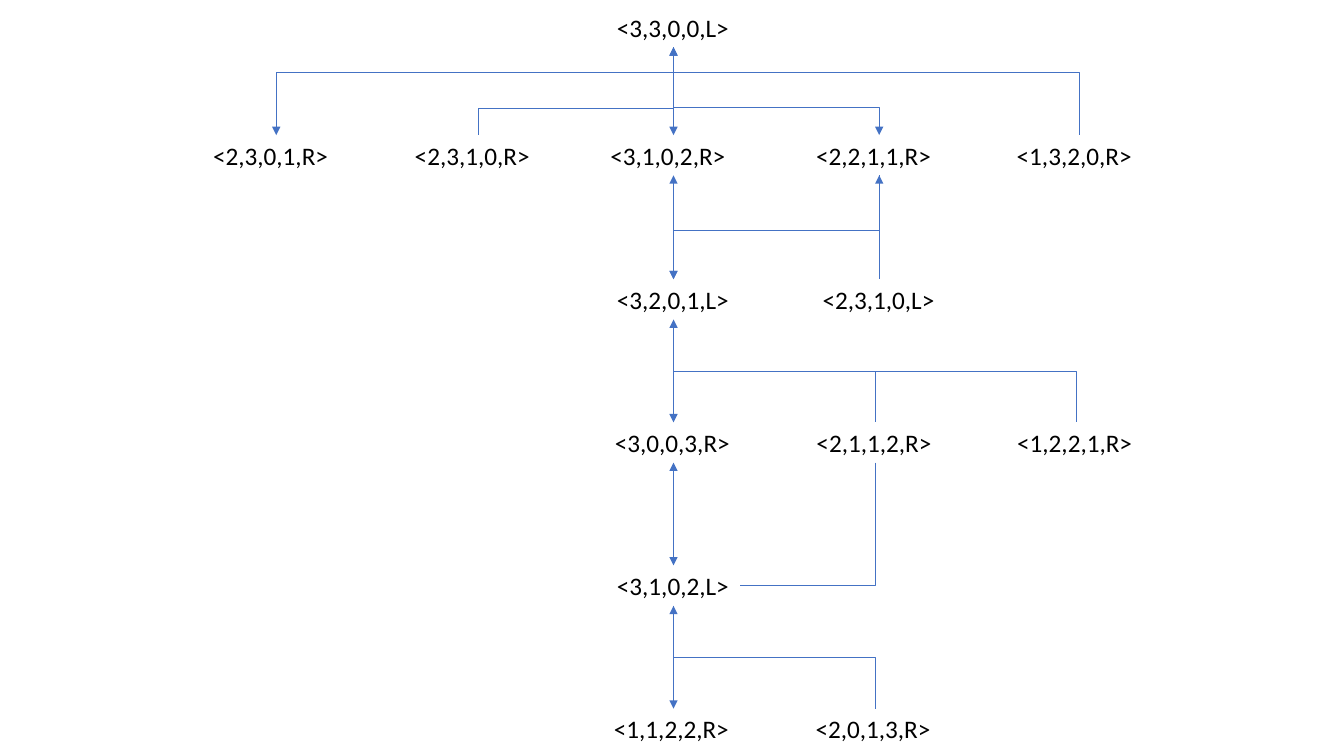
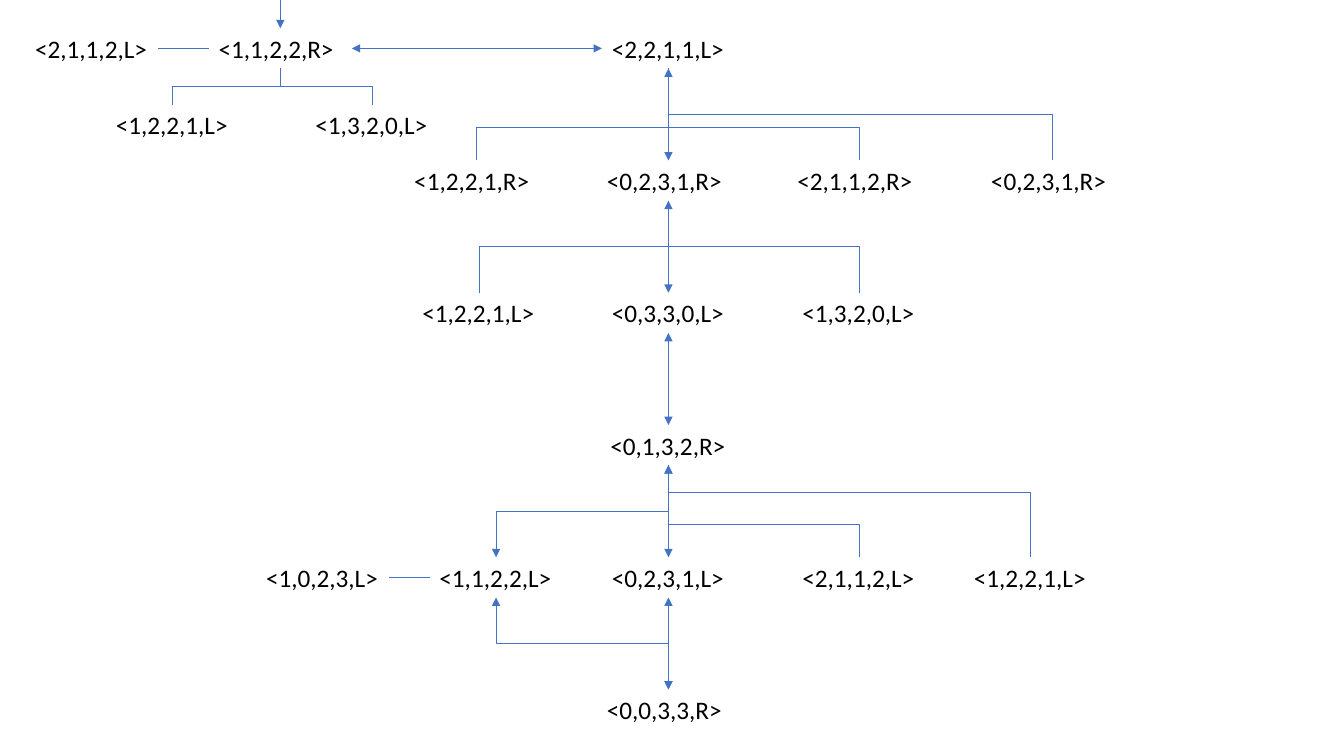
from dataclasses import dataclass
from lxml.etree import SubElement
from pptx import Presentation
from pptx.dml.color import RGBColor
from pptx.enum.shapes import MSO_CONNECTOR
from pptx.enum.text import PP_ALIGN
from pptx.oxml.ns import qn
from pptx.util import Inches, Pt

STRAIGHT, ELBOW = MSO_CONNECTOR.STRAIGHT, MSO_CONNECTOR.ELBOW
LEFT = PP_ALIGN.LEFT
COLORS = {"text": "000000", "line": "4472C4"}
FONT, SIZE = "Calibri", 18
HIGH = 0.4
BOTH, END, NONE = ("headEnd", "tailEnd"), ("tailEnd",), ()
CORNER = 1.0
TURN = 5400000


@dataclass(frozen=True)
class Node:
    cell: str
    text: str
    wide: float = 1.32


@dataclass(frozen=True)
class Link:
    start: str
    end: str
    bend: float = 0.0
    tips: tuple[str, ...] = NONE


@dataclass(frozen=True)
class Tree:
    cols: dict[str, float]
    rows: list[float]
    nodes: list[Node]
    links: list[Link]


@dataclass(frozen=True)
class Box:
    left: float
    top: float
    wide: float

    @property
    def right(self) -> float:
        return self.left + self.wide

    @property
    def mid(self) -> float:
        return self.left + self.wide / 2

    @property
    def axis(self) -> float:
        return self.top + HIGH / 2


def steps(first: float, last: float, count: int) -> list[float]:
    return [first + (last - first) * i / (count - 1) for i in range(count)]


def place(tree: Tree, node: Node) -> Box:
    mid = tree.cols[node.cell[0]]
    return Box(mid - node.wide / 2, tree.rows[int(node.cell[1])], node.wide)


def write(slide, node: Node, box: Box) -> None:
    size = [Inches(v) for v in (box.left, box.top, box.wide, HIGH)]
    frame = slide.shapes.add_textbox(*size).text_frame
    frame.word_wrap = True
    line = frame.paragraphs[0]
    line.alignment = LEFT
    run = line.add_run()
    run.text = node.text
    run.font.name, run.font.size = FONT, Pt(SIZE)
    run.font.color.rgb = RGBColor.from_string(COLORS["text"])


def ends(link: Link, boxes: dict[str, Box]) -> tuple[float, ...]:
    goal = boxes[link.end]
    if not link.start:
        return goal.mid, 0, goal.mid, goal.top
    base = boxes[link.start]
    if base.top == goal.top:
        return base.right, base.axis, goal.left, goal.axis
    if link.bend == CORNER:
        return base.mid, base.top + HIGH, goal.right, goal.axis
    return base.mid, base.top + HIGH, goal.mid, goal.top


def join(slide, link: Link, boxes: dict[str, Box]) -> None:
    x1, y1, x2, y2 = ends(link, boxes)
    kind = ELBOW if link.bend else STRAIGHT
    right = x2 > x1
    if link.bend:
        midx, midy = (x1 + x2) / 2, (y1 + y2) / 2
        halfx, halfy = (y2 - y1) / 2, abs(x2 - x1) / 2
        x1, y1, x2, y2 = midx - halfx, midy - halfy, midx + halfx, midy + halfy
    wire = slide.shapes.add_connector(kind, *map(Inches, (x1, y1, x2, y2)))
    wire.line.color.rgb = RGBColor.from_string(COLORS["line"])
    wire.line.width = Pt(0.5)
    props = wire._element.spPr
    if link.bend:
        frame = props.find(qn("a:xfrm"))
        frame.set("rot", str(TURN * (3 if right else 1)))
        if right:
            frame.set("flipH", "1")
        geom = props.find(qn("a:prstGeom"))
        if link.bend == CORNER:
            geom.set("prst", "bentConnector2")
        else:
            share = round(link.bend * 100000)
            guide = SubElement(geom.find(qn("a:avLst")), qn("a:gd"))
            guide.set("name", "adj1")
            guide.set("fmla", f"val {share}")
    for tip in link.tips:
        SubElement(props.find(qn("a:ln")), qn(f"a:{tip}")).set("type", "triangle")
    SubElement(props, qn("a:effectLst"))


def draw(deck, tree: Tree) -> None:
    slide = deck.slides.add_slide(deck.slide_layouts[6])
    boxes = {node.cell: place(tree, node) for node in tree.nodes}
    for node in tree.nodes:
        write(slide, node, boxes[node.cell])
    for link in tree.links:
        join(slide, link, boxes)


UPPER = Tree(
    cols={"a": 2.74, "b": 4.74, "c": 6.68, "d": 8.68, "e": 8.72, "f": 10.67, "g": 10.71},
    rows=[0.07, 1.34, *steps(2.77, 7.03, 4)],
    nodes=[
        Node("c0", "<3,3,0,0,L>"),
        Node("a1", "<2,3,0,1,R>", 1.45),
        Node("b1", "<2,3,1,0,R>", 1.45),
        Node("c1", "<3,1,0,2,R>", 1.45),
        Node("e1", "<2,2,1,1,R>", 1.45),
        Node("g1", "<1,3,2,0,R>", 1.45),
        Node("c2", "<3,2,0,1,L>"),
        Node("e2", "<2,3,1,0,L>"),
        Node("c3", "<3,0,0,3,R>", 1.36),
        Node("d3", "<2,1,1,2,R>", 1.36),
        Node("f3", "<1,2,2,1,R>", 1.36),
        Node("c4", "<3,1,0,2,L>"),
        Node("c5", "<1,1,2,2,R>", 1.38),
        Node("d5", "<2,0,1,3,R>", 1.38),
    ],
    links=[
        *(Link(f"c{i}", f"c{i + 1}", tips=BOTH) for i in range(5)),
        Link("c0", "e1", 0.69, BOTH),
        Link("c0", "a1", 0.29, BOTH),
        Link("e1", "c2", 0.53, BOTH),
        Link("c0", "b1", 0.7),
        Link("c0", "g1", 0.29),
        Link("e1", "e2", 0.5),
        Link("c2", "d3", 0.5),
        Link("c2", "f3", 0.5),
        Link("d3", "c4", CORNER),
        Link("c4", "d5", 0.5),
    ],
)

LOWER = Tree(
    cols={"a": 0.91, "b": 1.71, "c": 2.78, "d": 3.2, "e": 3.69, "f": 4.72,
          "g": 4.75, "h": 4.92, "m": 6.63, "p": 8.52, "q": 10.22, "r": 10.44},
    rows=[*steps(0.28, 6.84, 6), 1.04],
    nodes=[
        Node("a0", "<2,1,1,2,L>"),
        Node("c0", "<1,1,2,2,R>", 1.42),
        Node("m0", "<2,2,1,1,L>"),
        Node("b6", "<1,2,2,1,L>"),
        Node("e6", "<1,3,2,0,L>"),
        Node("f1", "<1,2,2,1,R>", 1.42),
        Node("m1", "<0,2,3,1,R>", 1.42),
        Node("p1", "<2,1,1,2,R>", 1.42),
        Node("r1", "<0,2,3,1,R>", 1.42),
        Node("g2", "<1,2,2,1,L>"),
        Node("m2", "<0,3,3,0,L>"),
        Node("p2", "<1,3,2,0,L>"),
        Node("m3", "<0,1,3,2,R>", 1.35),
        Node("d4", "<1,0,2,3,L>"),
        Node("h4", "<1,1,2,2,L>"),
        Node("m4", "<0,2,3,1,L>"),
        Node("p4", "<2,1,1,2,L>"),
        Node("q4", "<1,2,2,1,L>"),
        Node("m5", "<0,0,3,3,R>", 1.42),
    ],
    links=[
        Link("", "c0", tips=END),
        Link("c0", "m0", tips=BOTH),
        Link("a0", "c0"),
        Link("c0", "b6", 0.5),
        Link("c0", "e6", 0.5),
        *(Link(f"m{i}", f"m{i + 1}", tips=BOTH) for i in range(5)),
        Link("m0", "f1", 0.64),
        Link("m0", "p1", 0.64),
        Link("m0", "r1", 0.5),
        Link("m1", "p2", 0.5),
        Link("m1", "g2", 0.5),
        Link("m3", "h4", 0.5, BOTH),
        Link("h4", "m5", 0.5, BOTH),
        Link("m3", "p4", 0.64),
        Link("m3", "q4", 0.3),
        Link("d4", "h4"),
    ],
)

deck = Presentation()
deck.slide_width, deck.slide_height = Inches(13.33), Inches(7.5)
for tree in (UPPER, LOWER):
    draw(deck, tree)
deck.save("out.pptx")
